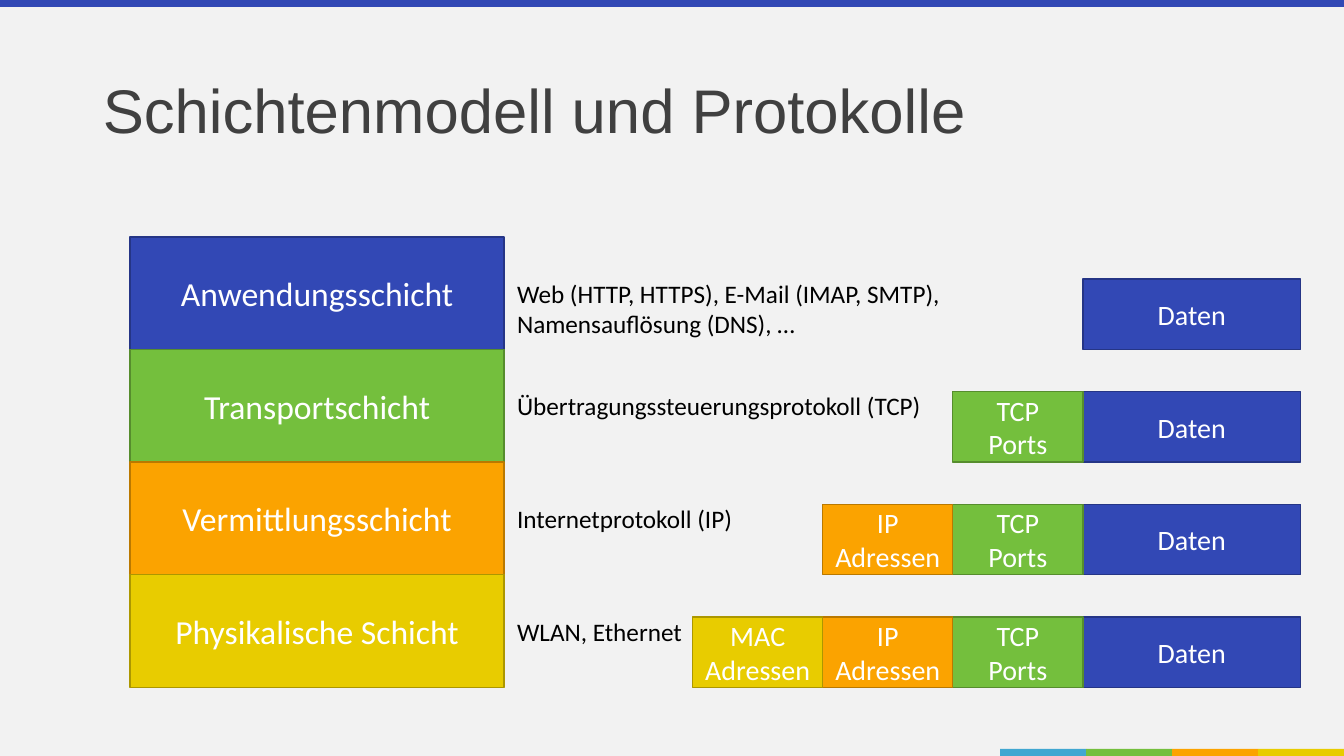
from dataclasses import dataclass

from pptx import Presentation
from pptx import util as u
from pptx.dml.color import RGBColor
from pptx.enum import shapes, text


@dataclass(frozen=True)
class Theme:
    """Colours, fonts and type sizes of the slide."""
    background: str = "F2F2F2"
    title: str = "404040"
    body: str = "000000"
    on_fill: str = "FFFFFF"
    accent: str = "41A7D1"
    blue: tuple = ("3248B5", "253586")
    green: tuple = ("74BF3D", "568D2D")
    orange: tuple = ("FBA300", "BA7900")
    yellow: tuple = ("E8CC00", "AC9700")
    heading_font: str = "Arial"
    body_font: str = "Calibri"
    title_size: int = 44
    layer_size: int = 24
    packet_size: int = 20
    protocol_size: int = 18


THEME = Theme()
SLIDE_WIDTH, SLIDE_HEIGHT = 13.33, 7.5

LAYERS = [
    ("Anwendungsschicht", "Web (HTTP, HTTPS), E-Mail (IMAP, SMTP),\nNamensauflösung (DNS), …",
     4.44, "Daten", THEME.blue),
    ("Transportschicht", "Übertragungssteuerungsprotokoll (TCP)",
     4.25, "TCP\nPorts", THEME.green),
    ("Vermittlungsschicht", "Internetprotokoll (IP)",
     2.36, "IP\nAdressen", THEME.orange),
    ("Physikalische Schicht", "WLAN, Ethernet",
     1.86, "MAC\nAdressen", THEME.yellow),
]


def inches(box):
    """Turn a left, top, width, height box into lengths."""
    return [u.Inches(length) for length in box]


def write(paragraph, wording, size, colour, font):
    """Add the wording run by run, with a line break between lines."""
    for index, line in enumerate(wording.split("\n")):
        if index:
            paragraph.add_line_break()
        run = paragraph.add_run()
        run.text = line
        run.font.size = u.Pt(size)
        run.font.name = font
        run.font.color.rgb = RGBColor.from_string(colour)


def add_block(slide, box, fill, outline=None, label="", size=THEME.packet_size):
    """Draw a filled rectangle with an optional outline and centred label."""
    block = slide.shapes.add_shape(shapes.MSO_SHAPE.RECTANGLE, *inches(box))
    block.shadow.inherit = False
    block.fill.solid()
    block.fill.fore_color.rgb = RGBColor.from_string(fill)
    if outline:
        block.line.color.rgb = RGBColor.from_string(outline)
        block.line.width = u.Pt(1)
    else:
        block.line.fill.background()
    if label:
        frame = block.text_frame
        frame.word_wrap = True
        frame.vertical_anchor = text.MSO_ANCHOR.MIDDLE
        frame.paragraphs[0].alignment = text.PP_ALIGN.CENTER
        write(frame.paragraphs[0], label, size, THEME.on_fill, THEME.body_font)


def add_decoration(slide, box):
    """Draw the top band and the colour strip at the lower right of the box."""
    left, top, width, height = box
    band = 0.07
    add_block(slide, (left, top, width, band), THEME.blue[0])
    colours = [THEME.accent, THEME.green[0], THEME.orange[0], THEME.yellow[0]]
    swatch = 3.41 / len(colours)
    start = left + width - swatch * len(colours)
    for index, colour in enumerate(colours):
        add_block(slide, (start + index * swatch, top + height - band, swatch, band), colour)


def add_title(slide, box, wording):
    """Place and format the title placeholder."""
    title = slide.shapes.title
    title.left, title.top, title.width, title.height = inches(box)
    frame = title.text_frame
    frame.word_wrap = True
    frame.auto_size = text.MSO_AUTO_SIZE.NONE
    frame.vertical_anchor = text.MSO_ANCHOR.MIDDLE
    heading = frame.paragraphs[0]
    heading.alignment = text.PP_ALIGN.LEFT
    heading.line_spacing = 0.9
    write(heading, wording, THEME.title_size, THEME.title, THEME.heading_font)


def add_protocols(slide, box, wording):
    """Write the protocols of a layer in an unwrapped text box."""
    frame = slide.shapes.add_textbox(*inches(box)).text_frame
    frame.word_wrap = False
    frame.auto_size = text.MSO_AUTO_SIZE.SHAPE_TO_FIT_TEXT
    write(frame.paragraphs[0], wording, THEME.protocol_size, THEME.body, THEME.body_font)


def add_packet(slide, box, parts):
    """Line up the data and its headers from the right edge of the box."""
    left, top, width, height = box
    data_width, header_width = 2.16, 1.29
    edge = left + width
    for index, (label, (fill, outline)) in enumerate(parts):
        part_width = header_width if index else data_width
        edge -= part_width
        add_block(slide, (edge, top, part_width, height), fill, outline, label)


def add_layer_model(slide, box):
    """Stack the layers with their protocols and growing packets."""
    left, top, width, height = box
    row_height = height / len(LAYERS)
    layer_width, packet_height = 3.71, 0.7
    parts = []
    for index, (layer, protocols, protocols_width, part, colours) in enumerate(LAYERS):
        row_top = top + index * row_height
        add_block(slide, (left, row_top, layer_width, row_height), *colours,
                  layer, THEME.layer_size)
        protocols_height = 0.71 if "\n" in protocols else 0.4
        add_protocols(slide, (left + 3.74, row_top + 0.36, protocols_width, protocols_height),
                      protocols)
        parts.append((part, colours))
        add_packet(slide, (left, row_top + row_height - packet_height, width, packet_height),
                   parts)


def main():
    """Build the slide and save it."""
    deck = Presentation()
    deck.slide_width, deck.slide_height = u.Inches(SLIDE_WIDTH), u.Inches(SLIDE_HEIGHT)
    slide = deck.slides.add_slide(deck.slide_layouts.get_by_name("Title Only"))
    slide.background.fill.solid()
    slide.background.fill.fore_color.rgb = RGBColor.from_string(THEME.background)
    add_decoration(slide, (0, 0, SLIDE_WIDTH, SLIDE_HEIGHT))
    add_title(slide, (0.92, 0.4, 11.5, 1.45), "Schichtenmodell und Protokolle")
    add_layer_model(slide, (1.29, 2.35, 11.61, 4.47))
    deck.save("out.pptx")


if __name__ == "__main__":
    main()
